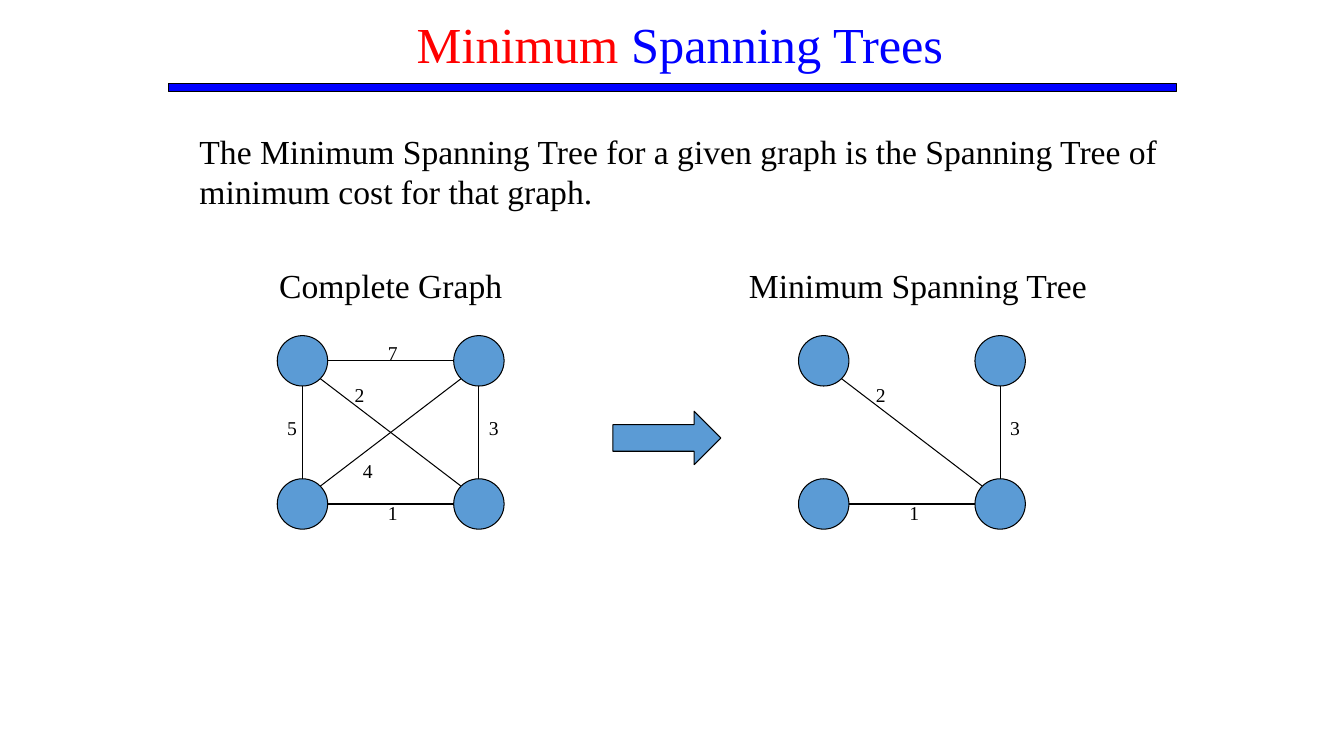
from math import hypot
from pptx import Presentation
from pptx.dml.color import RGBColor
from pptx.enum.shapes import MSO_CONNECTOR, MSO_SHAPE
from pptx.enum.text import PP_ALIGN
from pptx.oxml.ns import qn
from pptx.util import Inches, Pt
from lxml import etree

RECT, OVAL, ARROW = MSO_SHAPE.RECTANGLE, MSO_SHAPE.OVAL, MSO_SHAPE.RIGHT_ARROW
STRAIGHT = MSO_CONNECTOR.STRAIGHT
CENTER, LEFT = PP_ALIGN.CENTER, PP_ALIGN.LEFT
FONT = "Times New Roman"
BLACK, BLUE, RED, NODE = "000000", "0000FF", "FF0000", "5B9BD5"

prs = Presentation()
prs.slide_width, prs.slide_height = Inches(13.33), Inches(7.5)
slide = prs.slides.add_slide(prs.slide_layouts[6])
shapes = slide.shapes


def add_filled(kind, x, y, w, h, fill):
    sp = shapes.add_shape(kind, Inches(x), Inches(y), Inches(w), Inches(h))
    sp.shadow.inherit = False
    sp.fill.solid()
    sp.fill.fore_color.rgb = RGBColor.from_string(fill)
    sp.line.color.rgb = RGBColor.from_string(BLACK)
    sp.line.width = Pt(0.75)
    return sp


def add_text(x, y, w, h, parts, size, wrap=False, align=LEFT):
    tf = shapes.add_textbox(Inches(x), Inches(y), Inches(w), Inches(h)).text_frame
    tf.word_wrap = wrap
    p = tf.paragraphs[0]
    p.alignment = align
    for text, color in parts:
        r = p.add_run()
        r.text = text
        r.font.name, r.font.size = FONT, Pt(size)
        r.font.color.rgb = RGBColor.from_string(color)


# Title, rule and definition
add_filled(RECT, 1.67, 0.83, 10, 0.08, BLUE)
add_text(3.83, 0.08, 5.83, 0.7, [("Minimum", RED), (" Spanning Trees", BLUE)],
         36, wrap=True, align=CENTER)
add_text(1.88, 1.25, 9.78, 0.91,
         [("The Minimum Spanning Tree for a given graph is the Spanning Tree of "
           "minimum cost for that graph.", BLACK)], 24, wrap=True)

# Graph layout: nodes on a 2 x 2 grid, edges as weight -> (column, row) ends
TOP, COL, ROW, SIZE = 3.33, 1.75, 1.42, 0.5
EDGES = {
    7: ((0, 0), (1, 0)),
    5: ((0, 0), (0, 1)),
    1: ((0, 1), (1, 1)),
    3: ((1, 0), (1, 1)),
    4: ((1, 0), (0, 1)),
    2: ((0, 0), (1, 1)),
}
LABELS = {7: (1, 0), 5: (0, 0.75), 1: (1, 1.59), 3: (2, 0.75), 4: (0.75, 1.17), 2: (0.67, 0.42)}
GRAPHS = [
    (2.75, [7, 5, 1, 3, 4, 2], "Complete Graph", 2.67, 2.41),
    (7.92, [1, 3, 2], "Minimum Spanning Tree", 7.33, 3.57),
]

for left, weights, caption, caption_x, caption_w in GRAPHS:
    add_text(caption_x, 2.58, caption_w, 0.5, [(caption, BLACK)], 24)

    # Nodes
    for row in range(2):
        for col in range(2):
            add_filled(OVAL, left + col * COL, TOP + row * ROW, SIZE, SIZE, NODE)

    # Edges run from rim to rim, leaving diagonally at 45 degrees
    for weight in weights:
        (c1, r1), (c2, r2) = EDGES[weight]
        reach = SIZE / 2 / hypot(c2 - c1, r2 - r1)
        dx, dy = (c2 - c1) * reach, (r2 - r1) * reach
        x0, y0 = left + SIZE / 2, TOP + SIZE / 2
        line = shapes.add_connector(
            STRAIGHT,
            Inches(x0 + c1 * COL + dx), Inches(y0 + r1 * ROW + dy),
            Inches(x0 + c2 * COL - dx), Inches(y0 + r2 * ROW - dy))
        line.line.color.rgb = RGBColor.from_string(BLACK)
        line.line.width = Pt(0.75)
        etree.SubElement(line._element.spPr, qn("a:effectLst"))

    # Weights
    for weight in weights:
        x, y = LABELS[weight]
        add_text(left + x, TOP + y, 0.3, 0.33, [(str(weight), BLACK)], 14)

# Arrow between the graphs
add_filled(ARROW, 6.08, 4.08, 1.07, 0.53, NODE)

prs.save("out.pptx")
